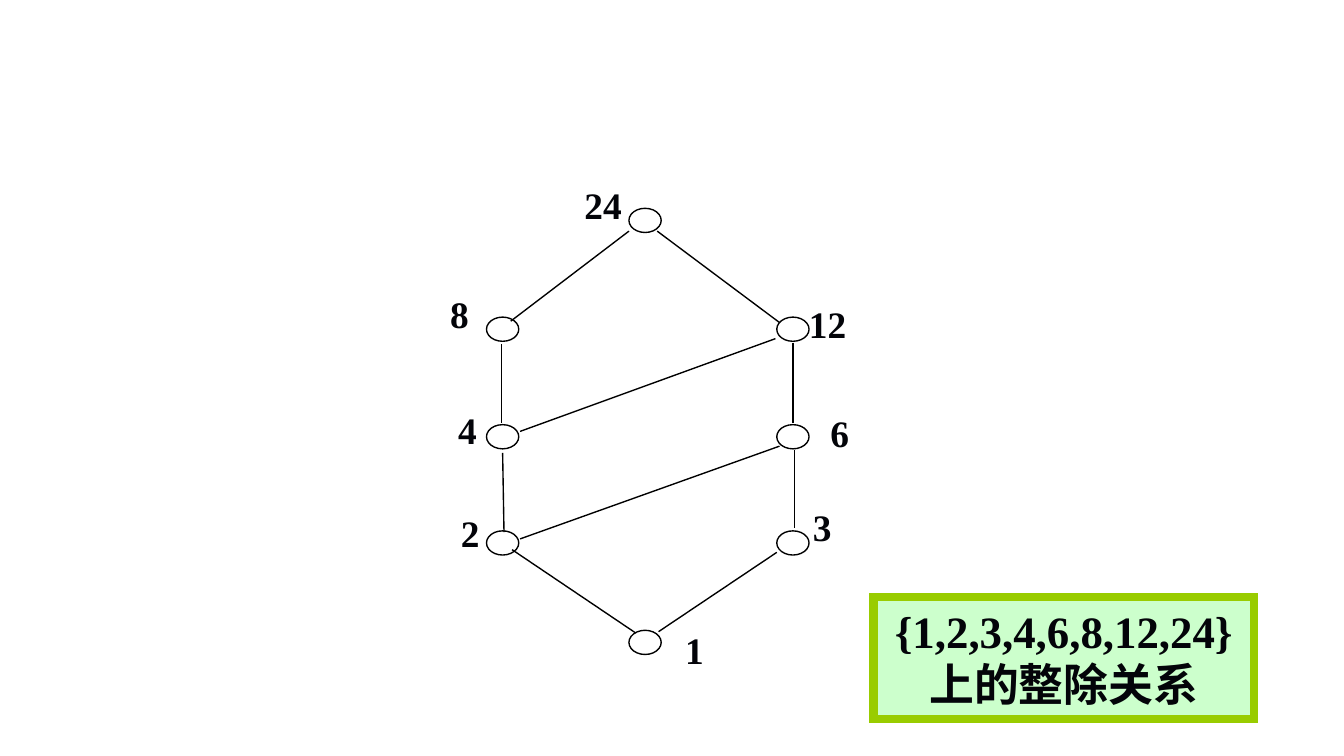
from lxml import etree
from pptx import Presentation
from pptx.dml.color import RGBColor
from pptx.enum.shapes import MSO_CONNECTOR, MSO_SHAPE
from pptx.enum.text import MSO_ANCHOR, PP_ALIGN
from pptx.oxml.ns import qn
from pptx.util import Inches, Pt

OVAL, RECT = MSO_SHAPE.OVAL, MSO_SHAPE.RECTANGLE
STRAIGHT = MSO_CONNECTOR.STRAIGHT
LEFT, CENTER, JUSTIFY = PP_ALIGN.LEFT, PP_ALIGN.CENTER, PP_ALIGN.JUSTIFY
TOP = MSO_ANCHOR.TOP

FONT = "Times New Roman"
COLORS = {
    "text": "030409",
    "line": "000000",
    "node": "FFFFFF",
    "box": "CCFFCC",
    "border": "99CC00",
}

# Hasse diagram: node columns and rows (left, top)
NODE_W, NODE_H = 0.24, 0.18
COL_L, COL_M, COL_R = 3.62, 4.68, 5.78
ROWS = [1.55, 2.36, 3.16, 3.95, 4.69]
NODES = [(COL_M, ROWS[0]), (COL_M, ROWS[4])]
NODES += [(col, row) for row in ROWS[1:4] for col in (COL_L, COL_R)]

# Covering relations: (x1, y1, x2, y2)
EDGES = [
    (4.89, 1.72, 5.80, 2.40),  # 24 - 12
    (4.68, 1.72, 3.80, 2.39),  # 24 - 8
    (3.73, 2.56, 3.73, 3.15),  # 8 - 4
    (5.90, 2.55, 5.90, 3.15),  # 12 - 6
    (3.74, 3.37, 3.75, 3.96),  # 4 - 2
    (5.91, 3.35, 5.91, 3.93),  # 6 - 3
    (3.81, 4.09, 4.73, 4.71),  # 2 - 1
    (5.78, 4.11, 4.90, 4.70),  # 3 - 1
    (3.87, 4.01, 5.80, 3.32),  # 2 - 6
    (3.87, 3.21, 5.77, 2.52),  # 4 - 12
]

# Number labels: (text, left, top, width, height, alignment)
LABELS = [
    ("24", 4.25, 1.31, 1.05, 0.64, JUSTIFY),
    ("8", 3.25, 2.12, 0.82, 0.59, JUSTIFY),
    ("12", 5.92, 2.19, 0.83, 0.44, LEFT),
    ("4", 3.31, 2.98, 1.18, 0.84, JUSTIFY),
    ("6", 6.08, 3.00, 0.77, 0.57, JUSTIFY),
    ("2", 3.33, 3.75, 0.88, 0.71, JUSTIFY),
    ("3", 5.95, 3.70, 1.25, 0.57, JUSTIFY),
    ("1", 5.00, 4.62, 0.83, 0.44, LEFT),
]


def rgb(name):
    return RGBColor.from_string(COLORS[name])


def set_text(sp, text, size, align):
    tf = sp.text_frame
    tf.word_wrap = True
    tf.vertical_anchor = TOP
    tf.text = text
    p = tf.paragraphs[0]
    p.alignment = align
    font = p.runs[0].font
    font.name, font.size, font.bold = FONT, Pt(size), True
    font.color.rgb = rgb("text")


def add_shape(slide, kind, box, fill, line, width):
    sp = slide.shapes.add_shape(kind, *map(Inches, box))
    sp.shadow.inherit = False
    sp.fill.solid()
    sp.fill.fore_color.rgb = rgb(fill)
    sp.line.color.rgb = rgb(line)
    sp.line.width = Pt(width)
    # Square corners on the outline
    etree.SubElement(sp.line._get_or_add_ln(), qn("a:miter"), lim="800000")
    return sp


def add_edge(slide, ends):
    edge = slide.shapes.add_connector(STRAIGHT, *map(Inches, ends))
    edge.line.color.rgb = rgb("line")
    edge.line.width = Pt(0.75)
    etree.SubElement(edge._element.spPr, qn("a:effectLst"))


def add_label(slide, text, left, top, width, height, align):
    box = slide.shapes.add_textbox(*map(Inches, (left, top, width, height)))
    set_text(box, text, 20, align)


def main():
    prs = Presentation()
    # 16:9 page
    prs.slide_width = Inches(10)
    prs.slide_height = Inches(10 * 9 / 16)
    slide = prs.slides.add_slide(prs.slide_layouts[6])

    # Diagram
    for left, top in NODES:
        add_shape(slide, OVAL, (left, top, NODE_W, NODE_H), "node", "line", 0.75)
    for ends in EDGES:
        add_edge(slide, ends)
    for label in LABELS:
        add_label(slide, *label)

    # Caption box
    caption = add_shape(slide, RECT, (6.5, 4.44, 2.83, 0.91), "box", "border", 4.5)
    set_text(caption, "{1,2,3,4,6,8,12,24}上的整除关系", 24, CENTER)

    prs.save("out.pptx")


if __name__ == "__main__":
    main()
